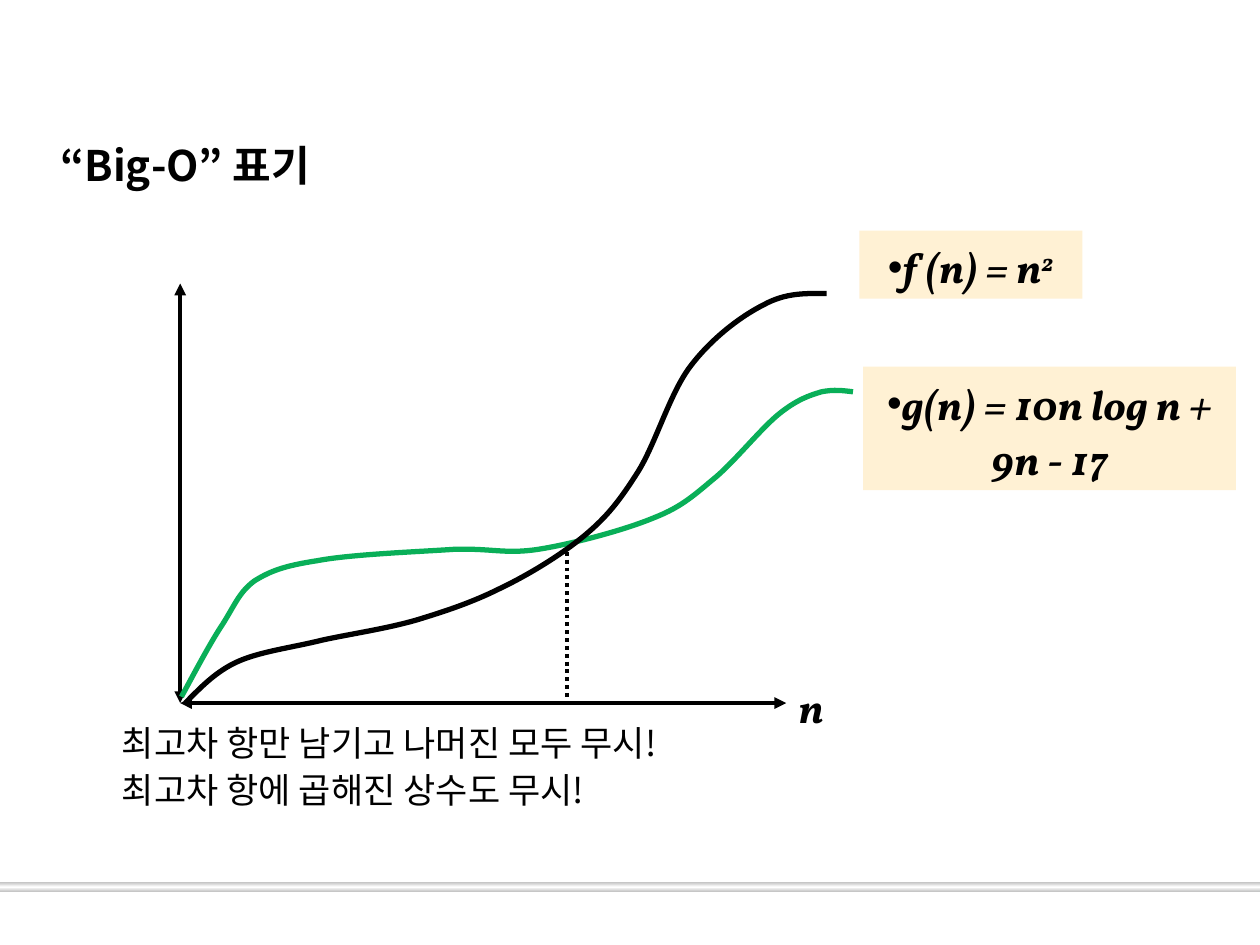
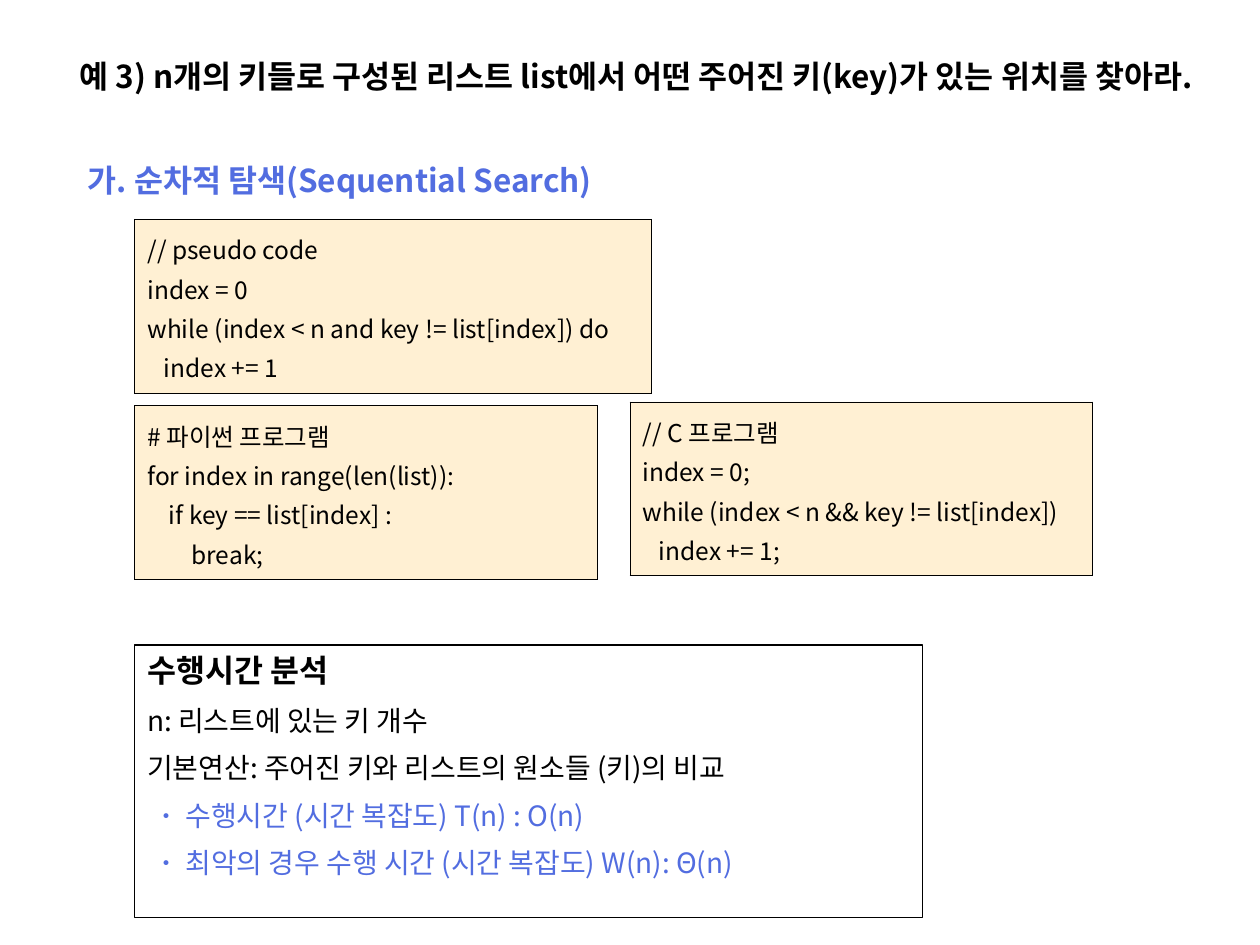
from dataclasses import dataclass

from lxml import etree
from pptx import Presentation
from pptx.dml.color import RGBColor
from pptx.enum.dml import MSO_LINE
from pptx.enum.shapes import MSO_CONNECTOR, MSO_SHAPE
from pptx.enum.text import MSO_ANCHOR, MSO_AUTO_SIZE, PP_ALIGN
from pptx.oxml.ns import qn
from pptx.util import Pt

PX = 9144  # 100 px to the inch
BLACK = RGBColor(0x00, 0x00, 0x00)
WHITE = RGBColor(0xFF, 0xFF, 0xFF)
GRAY = RGBColor(0xC0, 0xC0, 0xC0)
BLUE = RGBColor(0x52, 0x6D, 0xE0)
GREEN = RGBColor(0x09, 0xAF, 0x58)
CREAM = RGBColor(0xFF, 0xF1, 0xD4)
SAND = RGBColor(0xFF, 0xE2, 0xA9)
SANS = "Noto Sans CJK KR"
SERIF = "Vollkorn"
LEFT, MID, EVEN = PP_ALIGN.LEFT, PP_ALIGN.CENTER, PP_ALIGN.JUSTIFY
TOP, CENTER = MSO_ANCHOR.TOP, MSO_ANCHOR.MIDDLE
RECT = MSO_SHAPE.RECTANGLE
DOTS = MSO_LINE.ROUND_DOT
TITLE_ONLY = 5


@dataclass
class Run:
    text: str
    size: int = 24
    bold: bool = False
    color: RGBColor = BLACK
    font: str = SANS
    raised: bool = False


@dataclass
class Row:
    runs: list
    left: int = 0
    first: int = 0
    gap: float = 0
    lead: float = 1.0
    align: PP_ALIGN = LEFT
    dot: bool = False


def emu(*nums):
    return [round(num * PX) for num in nums]


def node(parent, tag, **attrs):
    return etree.SubElement(parent, qn(tag), attrs)


def tint(parent, color):
    return node(parent, "a:srgbClr", val=str(color))


# ---- Text ----
def write(frame, rows, anchor=TOP):
    frame.word_wrap = True
    frame.vertical_anchor = anchor
    for i, row in enumerate(rows):
        para = frame.paragraphs[0] if i == 0 else frame.add_paragraph()
        para.alignment = row.align
        para.line_spacing = row.lead
        para.space_before = Pt(row.gap)
        props = para._p.get_or_add_pPr()
        left, first = emu(row.left, row.first)
        props.set("marL", str(left))
        props.set("indent", str(first))
        if row.dot:
            tint(node(props, "a:buClr"), BLACK)
            node(props, "a:buFont", typeface="Arial")
            node(props, "a:buChar", char="•")
        for part in row.runs:
            add_run(para, part)


def add_run(para, part):
    run = para.add_run()
    run.text = part.text
    font = run.font
    font.name = part.font
    font.size = Pt(part.size)
    font.bold = part.bold
    font.italic = part.font == SERIF
    font.color.rgb = part.color
    props = run._r.get_or_add_rPr()
    node(props, "a:ea", typeface=part.font)
    if part.raised:
        props.set("baseline", "30000")


def title(slide, box, row):
    shape = slide.shapes.title
    shape.left, shape.top, shape.width, shape.height = emu(*box)
    shape.text_frame.auto_size = MSO_AUTO_SIZE.NONE
    write(shape.text_frame, [row])


def note(slide, box, rows):
    write(slide.shapes.add_textbox(*emu(*box)).text_frame, rows)


def panel(slide, box, rows, fill=None, edge=None, anchor=TOP):
    shape = slide.shapes.add_shape(RECT, *emu(*box))
    shape.shadow.inherit = False
    if fill is None:
        shape.fill.background()
    else:
        shape.fill.solid()
        shape.fill.fore_color.rgb = fill
    if edge is None:
        shape.line.fill.background()
    else:
        shape.line.color.rgb = edge
        shape.line.width = Pt(0.75)
    write(shape.text_frame, rows, anchor)
    return shape


# ---- Footer band ----
def band(slide):
    shape = panel(slide, (0, 700, 1000, 8), [])
    shape.fill.gradient()
    shape.fill.gradient_angle = 90
    stops = shape._element.spPr.find(qn("a:gradFill")).find(qn("a:gsLst"))
    for stop in list(stops):
        stops.remove(stop)
    for pos, color in ((0, GRAY), (50000, WHITE), (100000, GRAY)):
        tint(node(stops, "a:gs", pos=str(pos)), color)


# ---- Growth graph ----
def line(slide, start, end, dash=None, arrows=False):
    link = slide.shapes.add_connector(MSO_CONNECTOR.STRAIGHT, *emu(*start, *end))
    link.line.color.rgb = BLACK
    link.line.width = Pt(2.25)
    props = link._element.spPr
    if dash:
        link.line.dash_style = dash
    if arrows:
        for tag in ("a:headEnd", "a:tailEnd"):
            node(props.find(qn("a:ln")), tag, type="triangle")
    node(props, "a:effectLst")


def curve(slide, x, y, points, color):
    pen = slide.shapes.build_freeform(*points[0], scale=PX)
    pen.add_line_segments(points[1:], close=False)
    shape = pen.convert_to_shape(*emu(x, y))
    shape.shadow.inherit = False
    shape.fill.background()
    shape.line.color.rgb = color
    shape.line.width = Pt(3)
    # Each three straight steps become one Bezier step
    steps = list(shape._element.iter(qn("a:lnTo")))
    route = steps[0].getparent()
    for i in range(0, len(steps), 3):
        bend = node(route, "a:cubicBezTo")
        for step in steps[i:i + 3]:
            bend.append(step[0])
            route.remove(step)


def graph(slide, box):
    x, y, wide, high = box
    base = y + high
    line(slide, (x, y), (x, base), arrows=True)
    line(slide, (x, base), (x + wide, base), arrows=True)
    line(slide, (x + 307, y + 213), (x + 307, base - 2), dash=DOTS)
    curve(slide, x, y, G_CURVE, GREEN)
    curve(slide, x, y, F_CURVE, BLACK)
    note(slide, (x + wide, base - 26, 49, 54),
         [Row([formula("n")], lead=1.1)])


def formula(text, raised=False):
    return Run(text, bold=True, font=SERIF, raised=raised)


def label(slide, box, runs):
    panel(slide, box, [Row(runs, lead=1.1, align=MID, dot=True)],
          fill=CREAM, anchor=CENTER)


# Curve points, from the top of the upright axis
G_CURVE = [
    (1, 328), (13, 306), (24, 285), (34, 270), (44, 254), (47, 245), (59, 236),
    (72, 228), (83, 224), (109, 220), (135, 215), (188, 213), (217, 211),
    (247, 210), (258, 215), (284, 211), (310, 207), (352, 196), (376, 186),
    (399, 177), (409, 167), (426, 153), (442, 139), (462, 114), (476, 103),
    (490, 92), (499, 89), (509, 86), (519, 84), (526, 85), (534, 86)]
F_CURVE = [
    (4, 333), (16, 321), (28, 308), (46, 300), (64, 292), (89, 289), (113, 283),
    (136, 278), (164, 274), (188, 267), (211, 260), (232, 253), (254, 242),
    (277, 231), (303, 215), (321, 200), (339, 185), (349, 172), (363, 150),
    (377, 128), (388, 89), (404, 67), (421, 44), (445, 26), (463, 17),
    (481, 7), (497, 8), (513, 8)]


# ---- Code boxes ----
def code(slide, box, lines):
    shape = slide.shapes.add_table(1, 1, *emu(*box))
    table = shape.table
    table.first_row = table.horz_banding = False
    cell = table.cell(0, 0)
    rows = [Row([Run(text, 14)], left=left, lead=1.1, align=EVEN)
            for left, text in lines]
    write(cell.text_frame, rows)
    cell.vertical_anchor = CENTER
    cell.margin_left, cell.margin_right, cell.margin_top, cell.margin_bottom = emu(
        10, 10, 5, 5)
    cell.fill.solid()
    cell.fill.fore_color.rgb = SAND
    props = cell._tc.tcPr
    node(next(props.iter(qn("a:srgbClr"))), "a:alpha", val="50000")
    for i, side in enumerate("LRTB"):
        edge = node(props, f"a:ln{side}", w="5715")
        tint(node(edge, "a:solidFill"), BLACK)
        props.insert(i, edge)


# ---- Slides ----
def big_o(slide):
    title(slide, (25, 106, 948, 60),
          Row([Run("“Big-O” 표기", bold=True)], left=63, first=-50))
    band(slide)
    label(slide, (685, 291, 296, 98), [formula("g(n) = 10n log n + 9n - 17")])
    label(slide, (682, 183, 177, 54), [formula("f (n) = n"), formula("2", True)])
    graph(slide, (143, 225, 481, 333))
    tips = ("최고차 항만 남기고 나머진 모두 무시!", "최고차 항에 곱해진 상수도 무시!")
    note(slide, (87, 568, 600, 100),
         [Row([Run(tip, 20)], gap=2.4) for tip in tips])


def search(slide):
    title(slide, (25, 43, 953, 80), Row(
        [Run("예 3) n개의 키들로 구성된 리스트 list에서 어떤 주어진 키(key)가 있는 위치를 찾아라.",
             18, True)], left=67, first=-39, lead=0.92))
    note(slide, (60, 123, 600, 46),
         [Row([Run("가. 순차적 탐색(Sequential Search)", 18, True, BLUE)])])
    code(slide, (107, 174, 410, 138), [
        (0, "// pseudo code"),
        (0, "index = 0"),
        (0, "while (index < n and key != list[index]) do"),
        (13, "index += 1")])
    code(slide, (500, 319, 367, 138), [
        (0, "// C 프로그램"),
        (0, "index = 0;"),
        (0, "while (index < n && key != list[index])"),
        (13, "index += 1;")])
    code(slide, (107, 322, 367, 138), [
        (0, "# 파이썬 프로그램"),
        (0, "for index in range(len(list)):"),
        (17, "if key == list[index] :"),
        (35, "break;")])
    rows = [Row([Run("수행시간 분석", 18, True)])]
    for text in ("n: 리스트에 있는 키 개수", "기본연산: 주어진 키와 리스트의 원소들 (키)의 비교"):
        rows.append(Row([Run(text, 16)], gap=8))
    for text in ("수행시간 (시간 복잡도) T(n) : O(n)",
                 "최악의 경우 수행 시간 (시간 복잡도) W(n): Θ(n)"):
        rows.append(Row([Run("ㆍ ", 16, True, BLUE), Run(text, 16, color=BLUE)],
                        left=5, gap=8))
    panel(slide, (107, 512, 625, 216), rows, edge=BLACK)


def main():
    deck = Presentation()
    deck.slide_width, deck.slide_height = emu(1000, 750)
    for draw in (big_o, search):
        draw(deck.slides.add_slide(deck.slide_layouts[TITLE_ONLY]))
    deck.save("out.pptx")


if __name__ == "__main__":
    main()
